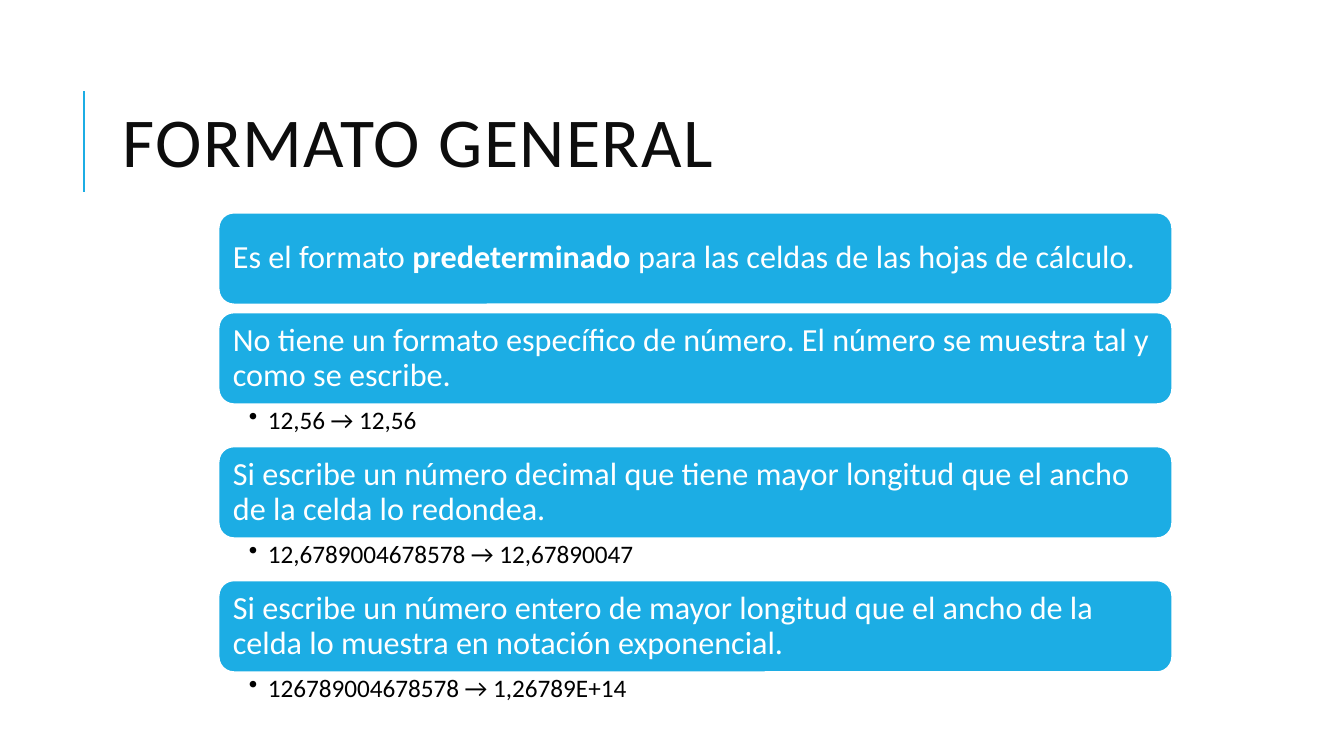
from lxml import etree
from pptx import Presentation
from pptx.dml.color import RGBColor
from pptx.enum.shapes import MSO_CONNECTOR, MSO_SHAPE
from pptx.enum.text import MSO_ANCHOR, PP_ALIGN
from pptx.oxml.ns import qn
from pptx.util import Pt

STRAIGHT = MSO_CONNECTOR.STRAIGHT
ROUNDED = MSO_SHAPE.ROUNDED_RECTANGLE
MIDDLE, TOP = MSO_ANCHOR.MIDDLE, MSO_ANCHOR.TOP
LEFT = PP_ALIGN.LEFT

COLORS = {"accent": "1CADE4", "white": "FFFFFF", "title": "0D0D0D", "black": "000000"}
FONT = "Calibri"

LIST_LEFT, LIST_TOP, LIST_WIDTH = 156.2, 151.9, 681.1
BOX_HEIGHT, BOX_GAP, EXAMPLE_HEIGHT = 65.5, 5.8, 30.2

# Each rule: its text as (words, bold) runs, and an optional example below it
RULES = [
    ([("Es el formato ", False), ("predeterminado", True),
      (" para las celdas de las hojas de cálculo.", False)], None),
    ([("No tiene un formato específico de número. El número se muestra tal y "
       "como se escribe.", False)], "12,56 → 12,56"),
    ([("Si escribe un número decimal que tiene mayor longitud que el ancho "
       "de la celda lo redondea.", False)], "12,6789004678578 → 12,67890047"),
    ([("Si escribe un número entero de mayor longitud que el ancho de la "
       "celda lo muestra en notación exponencial.", False)],
     "126789004678578 → 1,26789E+14"),
]


def color(name):
    return RGBColor.from_string(COLORS[name])


class SlideBuilder:
    def __init__(self, slide):
        self.slide = slide

    def set_text(self, shape, runs, size, color_name, anchor, spacing, insets):
        """Fill the shape with one paragraph; insets are left, top, right, bottom."""
        frame = shape.text_frame
        frame.word_wrap = True
        frame.vertical_anchor = anchor
        (frame.margin_left, frame.margin_top,
         frame.margin_right, frame.margin_bottom) = map(Pt, insets)
        paragraph = frame.paragraphs[0]
        paragraph.alignment = LEFT
        paragraph.line_spacing = spacing
        paragraph.font.name = FONT
        paragraph.font.size = Pt(size)
        paragraph.font.color.rgb = color(color_name)
        for words, bold in runs:
            run = paragraph.add_run()
            run.text = words
            if bold:
                run.font.bold = True
        return paragraph

    def text_box(self, left, top, width, height):
        return self.slide.shapes.add_textbox(Pt(left), Pt(top), Pt(width), Pt(height))

    def accent_line(self, x, top, bottom):
        line = self.slide.shapes.add_connector(STRAIGHT, Pt(x), Pt(bottom), Pt(x), Pt(top))
        line.line.color.rgb = color("accent")
        line.line.width = Pt(1.5)
        etree.SubElement(line._element.spPr, qn("a:effectLst"))

    def title(self, text):
        box = self.text_box(80.6, 46.1, 765.4, 118)
        paragraph = self.set_text(box, [(text, False)], 50, "title", MIDDLE, 0.8,
                                  (7.2, 3.6, 7.2, 3.6))
        paragraph.runs[0]._r.get_or_add_rPr().set("spc", "100")

    def rule_box(self, top, runs):
        box = self.slide.shapes.add_shape(ROUNDED, Pt(LIST_LEFT), Pt(top),
                                          Pt(LIST_WIDTH), Pt(BOX_HEIGHT))
        box.shadow.inherit = False
        box.fill.solid()
        box.fill.fore_color.rgb = color("accent")
        box.line.color.rgb = color("white")
        box.line.width = Pt(1.25)
        self.set_text(box, runs, 23, "white", MIDDLE, 0.9, (7, 7, 7, 7))

    def example(self, top, text):
        box = self.text_box(LIST_LEFT, top, LIST_WIDTH, EXAMPLE_HEIGHT)
        paragraph = self.set_text(box, [(text, False)], 18, "black", TOP, 0.9,
                                  (21.6, 2.2, 13, 2.2))
        paragraph.level = 1
        properties = paragraph._p.get_or_add_pPr()
        properties.set("marL", str(Pt(13.5)))
        properties.set("indent", str(Pt(-13.5)))
        bullet = etree.Element(qn("a:buChar"), char="•")
        properties.find(qn("a:defRPr")).addprevious(bullet)


def main():
    presentation = Presentation()
    presentation.slide_width, presentation.slide_height = Pt(960), Pt(540)
    builder = SlideBuilder(presentation.slides.add_slide(presentation.slide_layouts[6]))

    builder.accent_line(60, 65, 137)
    builder.title("FORMATO GENERAL")
    top = LIST_TOP
    for runs, example in RULES:
        builder.rule_box(top, runs)
        top += BOX_HEIGHT
        if example:
            builder.example(top, example)
            top += EXAMPLE_HEIGHT
        else:
            top += BOX_GAP

    presentation.save("out.pptx")


if __name__ == "__main__":
    main()
